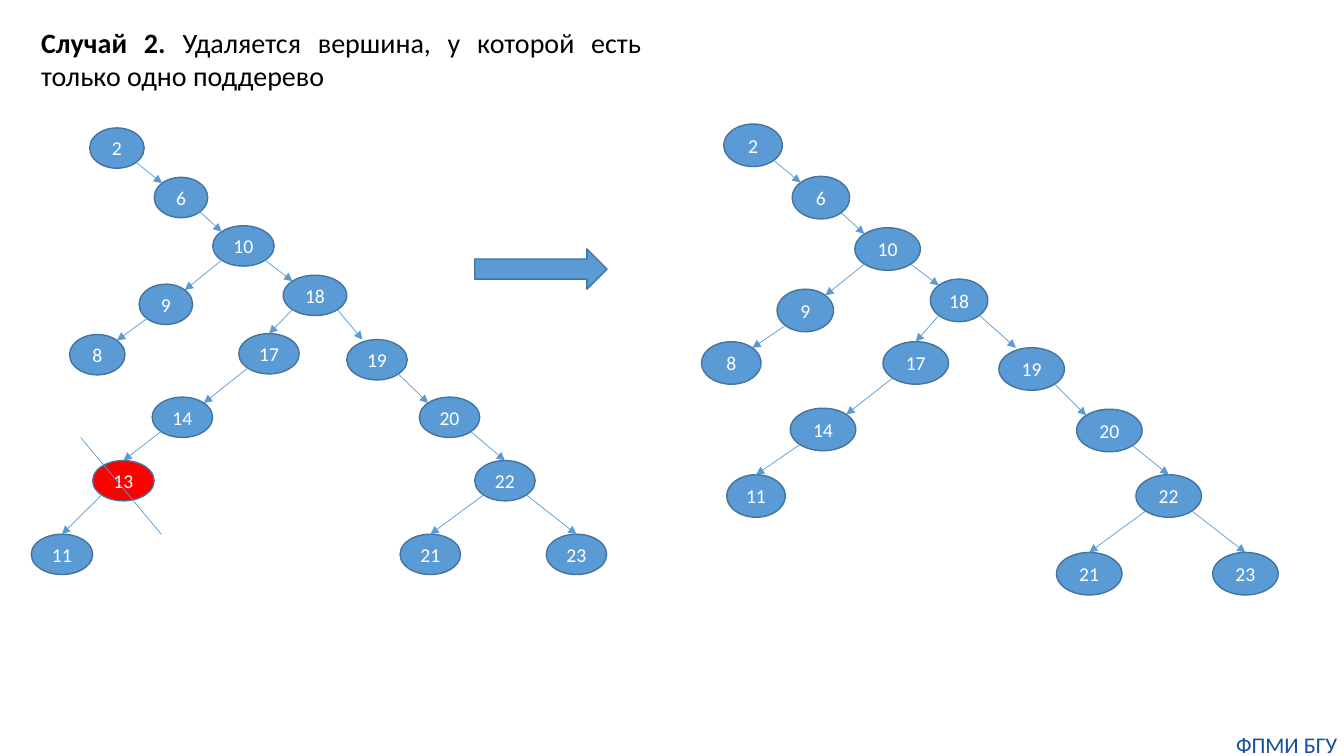
"""Build a slide on deleting a binary search tree vertex that has one subtree."""
from lxml import etree
from pptx import Presentation
from pptx.dml import color
from pptx.enum import shapes, text
from pptx.oxml import ns
from pptx.util import Pt

BLUE, DARK_BLUE, RED, WHITE = "5B9BD5", "43739E", "FF0000", "FFFFFF"
DIAGONAL = 0.3536


def rgb(value):
    return color.RGBColor.from_string(value)


def add_line(parent, start, end, arrow=True):
    points = [Pt(length) for length in (*start, *end)]
    connector = parent.shapes.add_connector(shapes.MSO_CONNECTOR.STRAIGHT, *points)
    connector.line.color.rgb = rgb(BLUE)
    connector.line.width = Pt(0.5)
    if arrow:
        outline = connector.line._get_or_add_ln()
        etree.SubElement(outline, ns.qn("a:tailEnd"), type="triangle")
    etree.SubElement(connector._element.spPr, ns.qn("a:effectLst"))


presentation = Presentation()
presentation.slide_width, presentation.slide_height = Pt(960), Pt(540)
slide = presentation.slides.add_slide(presentation.slide_layouts[6])

parents = {6: 2, 10: 6, 9: 10, 8: 9, 18: 10, 17: 18, 14: 17, 13: 14,
           19: 18, 20: 19, 22: 20, 21: 22, 23: 22}
top_entry = {17: 0, 13: 0, 11: 0, 22: 0, 21: 0, 23: 0, 19: -0.24}

before = {
    2: (64.1, 91.4, 38.9), 6: (110.2, 126.7, 38.2), 10: (151.9, 161.3, 43.9),
    18: (202.3, 196.6, 45.4), 9: (99.4, 203, 38.2), 8: (49.7, 239, 39.6),
    17: (170.6, 238.3, 43.2), 14: (108.7, 283.7, 43.2), 13: (66.2, 329, 43.9),
    11: (22.3, 381.6, 43.9), 19: (247.7, 242.6, 43.2), 20: (299.5, 283.7, 43.2),
    22: (339.1, 329, 43.2), 21: (285.8, 381.6, 43.2), 23: (390.2, 381.6, 43.2),
}
after = {
    2: (517, 88.6, 41.8), 6: (565.9, 126, 41), 10: (610.6, 162.7, 46.8),
    18: (664.6, 199.4, 41), 9: (555.1, 206.6, 40.3), 8: (501.1, 244.1, 42.5),
    17: (630.7, 244.1, 46.8), 14: (564.5, 291.6, 46.8), 11: (519.1, 339.1, 41.8),
    19: (713.5, 248.4, 46.8), 20: (769, 292.3, 46.8), 22: (811.4, 339.1, 46.8),
    21: (754.6, 394.6, 46.8), 23: (866.2, 394.6, 46.8),
}

for nodes, height, parent_of_11 in ((before, 28.8, 13), (after, 30.4, 14)):
    tree = slide.shapes.add_group_shape()
    for key, (left, top, width) in nodes.items():
        node = tree.shapes.add_shape(shapes.MSO_SHAPE.OVAL, Pt(left), Pt(top), Pt(width), Pt(height))
        node.shadow.inherit = False
        node.fill.solid()
        node.fill.fore_color.rgb = rgb(RED if key == 13 else BLUE)
        node.line.color.rgb = rgb(DARK_BLUE)
        node.line.width = Pt(1)
        frame = node.text_frame
        frame.word_wrap = False
        frame.vertical_anchor = text.MSO_ANCHOR.MIDDLE
        paragraph = frame.paragraphs[0]
        paragraph.text = str(key)
        paragraph.alignment = text.PP_ALIGN.CENTER
        paragraph.font.name = "Calibri"
        paragraph.font.size = Pt(14)
        paragraph.font.color.rgb = rgb(WHITE)

    for child, parent in {**parents, 11: parent_of_11}.items():
        if child not in nodes:
            continue
        parent_left, parent_top, parent_width = nodes[parent]
        left, top, width = nodes[child]
        side = 1 if child > parent else -1
        start = (parent_left + parent_width * (0.5 + side * DIAGONAL),
                 parent_top + height * (0.5 + DIAGONAL))
        if child in top_entry:
            end = (left + width * (0.5 + top_entry[child]), top)
        else:
            end = (left + width * (0.5 - side * DIAGONAL), top + height * (0.5 - DIAGONAL))
        add_line(tree, start, end)

step_arrow = slide.shapes.add_shape(shapes.MSO_SHAPE.RIGHT_ARROW, Pt(339.1), Pt(177.8), Pt(94.5), Pt(28.8))
step_arrow.shadow.inherit = False
step_arrow.fill.solid()
step_arrow.fill.fore_color.rgb = rgb(BLUE)
step_arrow.line.color.rgb = rgb(DARK_BLUE)
step_arrow.line.width = Pt(1)

add_line(slide, (57.6, 312.5), (115.2, 381.6), arrow=False)

footer = slide.shapes.add_textbox(Pt(878.4), Pt(522), Pt(81.4), Pt(19.4)).text_frame
footer.margin_left = footer.margin_top = footer.margin_right = footer.margin_bottom = 0
footer.word_wrap = True
paragraph = footer.paragraphs[0]
paragraph.text = "ФПМИ БГУ"
paragraph.alignment = text.PP_ALIGN.CENTER
paragraph.font.name = "Calibri"
paragraph.font.size = Pt(16)
paragraph.font.color.rgb = rgb("144E9D")

heading = slide.shapes.add_textbox(Pt(22.3), Pt(14.4), Pt(442.8), Pt(55.4)).text_frame
heading.word_wrap = True
paragraph = heading.paragraphs[0]
paragraph.alignment = text.PP_ALIGN.JUSTIFY
paragraph.font.name = "Calibri"
paragraph.font.size = Pt(20)
paragraph.font.color.rgb = rgb("000000")
for words, bold in (("Случай 2.", True),
                    (" Удаляется вершина, у которой есть только одно поддерево", False)):
    run = paragraph.add_run()
    run.text = words
    run.font.bold = bold

presentation.save("out.pptx")
